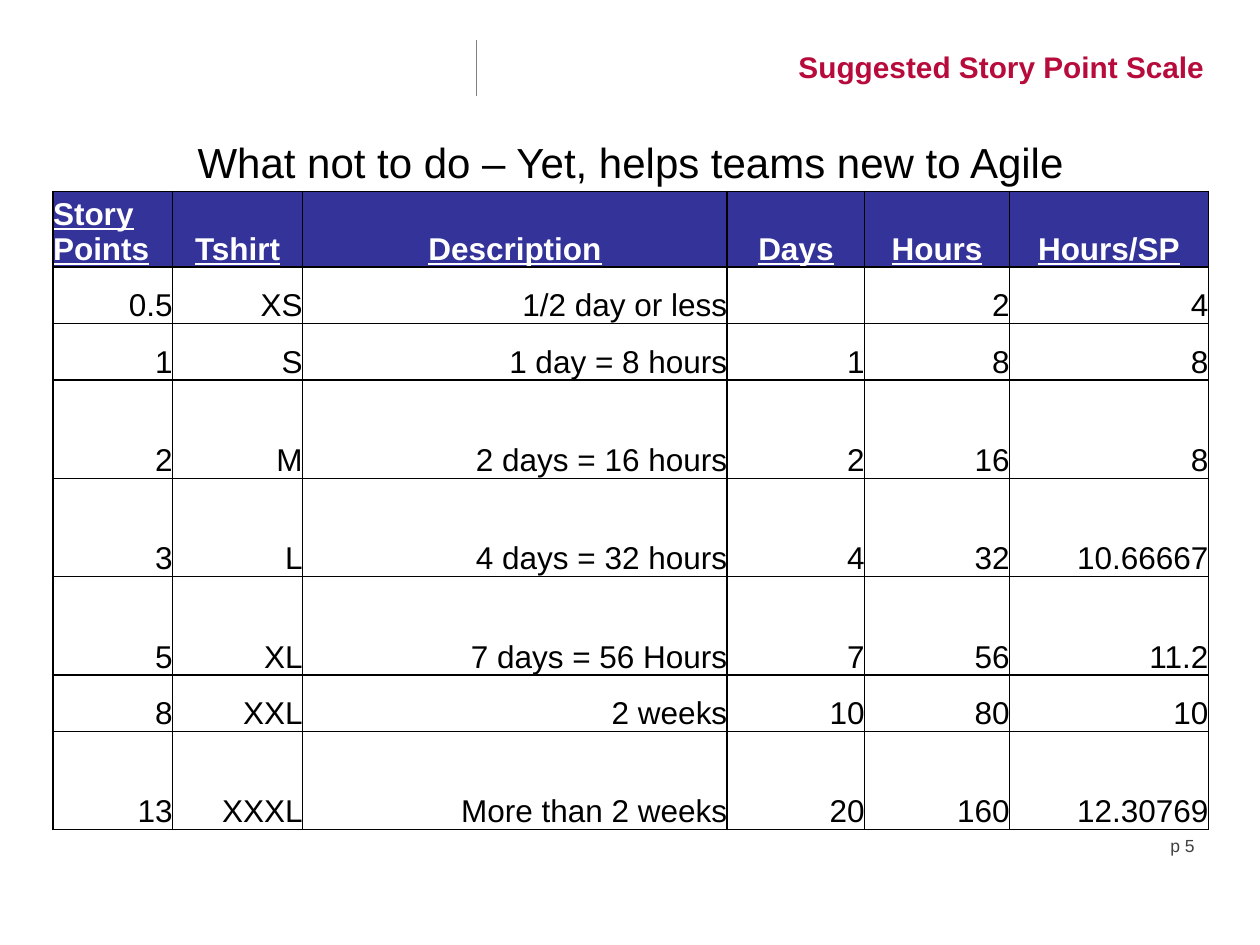
from lxml import etree
from pptx import Presentation
from pptx.dml.color import RGBColor
from pptx.enum.shapes import MSO_CONNECTOR
from pptx.enum.text import MSO_ANCHOR, PP_ALIGN
from pptx.oxml.ns import qn
from pptx.util import Cm, Pt

LEFT, CENTER, RIGHT = PP_ALIGN.LEFT, PP_ALIGN.CENTER, PP_ALIGN.RIGHT
BOTTOM = MSO_ANCHOR.BOTTOM
STRAIGHT = MSO_CONNECTOR.STRAIGHT

BLACK = RGBColor(0x00, 0x00, 0x00)
WHITE = RGBColor(0xFF, 0xFF, 0xFF)
INDIGO = RGBColor(0x33, 0x33, 0x99)
CRIMSON = RGBColor(0xB7, 0x0B, 0x3B)
GRAY = RGBColor(0x80, 0x80, 0x80)
DARK_GRAY = RGBColor(0x40, 0x40, 0x40)

COL_WIDTHS = [2.41, 2.62, 8.56, 2.77, 2.92, 4.01]
HEADER_HEIGHT, SHORT, TALL = 1.45, 1.14, 1.98
ROW_HEIGHTS = [HEADER_HEIGHT, SHORT, SHORT, TALL, TALL, TALL, SHORT, TALL]
SCALE = [
    ["Story Points", "Tshirt", "Description", "Days", "Hours", "Hours/SP"],
    ["0.5", "XS", "1/2 day or less", "", "2", "4"],
    ["1", "S", "1 day = 8 hours", "1", "8", "8"],
    ["2", "M", "2 days = 16 hours", "2", "16", "8"],
    ["3", "L", "4 days = 32 hours", "4", "32", "10.66667"],
    ["5", "XL", "7 days = 56 Hours", "7", "56", "11.2"],
    ["8", "XXL", "2 weeks", "10", "80", "10"],
    ["13", "XXXL", "More than 2 weeks", "20", "160", "12.30769"],
]


def write_text(tf, text, size=18, color=BLACK, align=RIGHT, bold=False, underline=False):
    """Write one formatted paragraph into a text frame."""
    p = tf.paragraphs[0]
    p.alignment = align
    p.font.size = Pt(size)
    if text:
        r = p.add_run()
        r.text = text
        r.font.name = "Arial"
        r.font.size = Pt(size)
        r.font.bold = bold
        r.font.underline = underline
        r.font.color.rgb = color


def add_label(s, text, left, top, width, height, **fmt):
    """Add a wrapping text box."""
    tf = s.shapes.add_textbox(Cm(left), Cm(top), Cm(width), Cm(height)).text_frame
    tf.word_wrap = True
    write_text(tf, text, **fmt)


def add_divider(s, x, top, bottom):
    """Add a thin vertical line without a shadow."""
    line = s.shapes.add_connector(STRAIGHT, Cm(x), Cm(top), Cm(x), Cm(bottom))
    line.line.color.rgb = GRAY
    line.line.width = Pt(0.25)
    etree.SubElement(line._element.spPr, qn("a:effectLst"))


def set_borders(cell, color=BLACK, width=1):
    """Draw a solid border on all four sides of a cell."""
    tc_pr = cell._tc.get_or_add_tcPr()
    for i, side in enumerate(("a:lnL", "a:lnR", "a:lnT", "a:lnB")):
        ln = etree.Element(qn(side), w=str(Pt(width)))
        fill = etree.SubElement(ln, qn("a:solidFill"))
        etree.SubElement(fill, qn("a:srgbClr"), val=str(color))
        tc_pr.insert(i, ln)


def fill_cell(cell, text, fill, **fmt):
    """Fill a cell with text, background and borders."""
    cell.margin_left = cell.margin_right = cell.margin_top = cell.margin_bottom = 0
    cell.vertical_anchor = BOTTOM
    cell.fill.solid()
    cell.fill.fore_color.rgb = fill
    write_text(cell.text_frame, text, **fmt)
    set_borders(cell)


def add_scale_table(s, left, top):
    """Add the story point table."""
    table = s.shapes.add_table(
        len(SCALE), len(COL_WIDTHS), Cm(left), Cm(top),
        Cm(sum(COL_WIDTHS)), Cm(sum(ROW_HEIGHTS))).table
    for col, width in zip(table.columns, COL_WIDTHS):
        col.width = Cm(width)
    for row, height in zip(table.rows, ROW_HEIGHTS):
        row.height = Cm(height)
    for i, values in enumerate(SCALE):
        for j, text in enumerate(values):
            cell = table.cell(i, j)
            if i == 0:
                fill_cell(cell, text, INDIGO, color=WHITE, bold=True, underline=True,
                          align=CENTER if j else LEFT)
            else:
                fill_cell(cell, text, WHITE)


def main():
    """Build the slide and save it."""
    prs = Presentation()
    prs.slide_width, prs.slide_height = Cm(25.4), Cm(19.05)
    s = prs.slides.add_slide(prs.slide_layouts[6])
    add_label(s, "p 5", 19.05, 16.71, 5.28, 0.84, size=10, color=DARK_GRAY)
    add_label(s, "Suggested Story Point Scale", 9.65, 0.86, 14.88, 0.97,
              size=17, color=CRIMSON, bold=True)
    add_divider(s, 9.6, 0.81, 1.93)
    add_scale_table(s, 1.07, 3.86)
    add_label(s, "What not to do – Yet, helps teams new to Agile", 1.07, 2.62, 23.29, 1.27,
              size=24, align=CENTER)
    prs.save("out.pptx")


if __name__ == "__main__":
    main()
